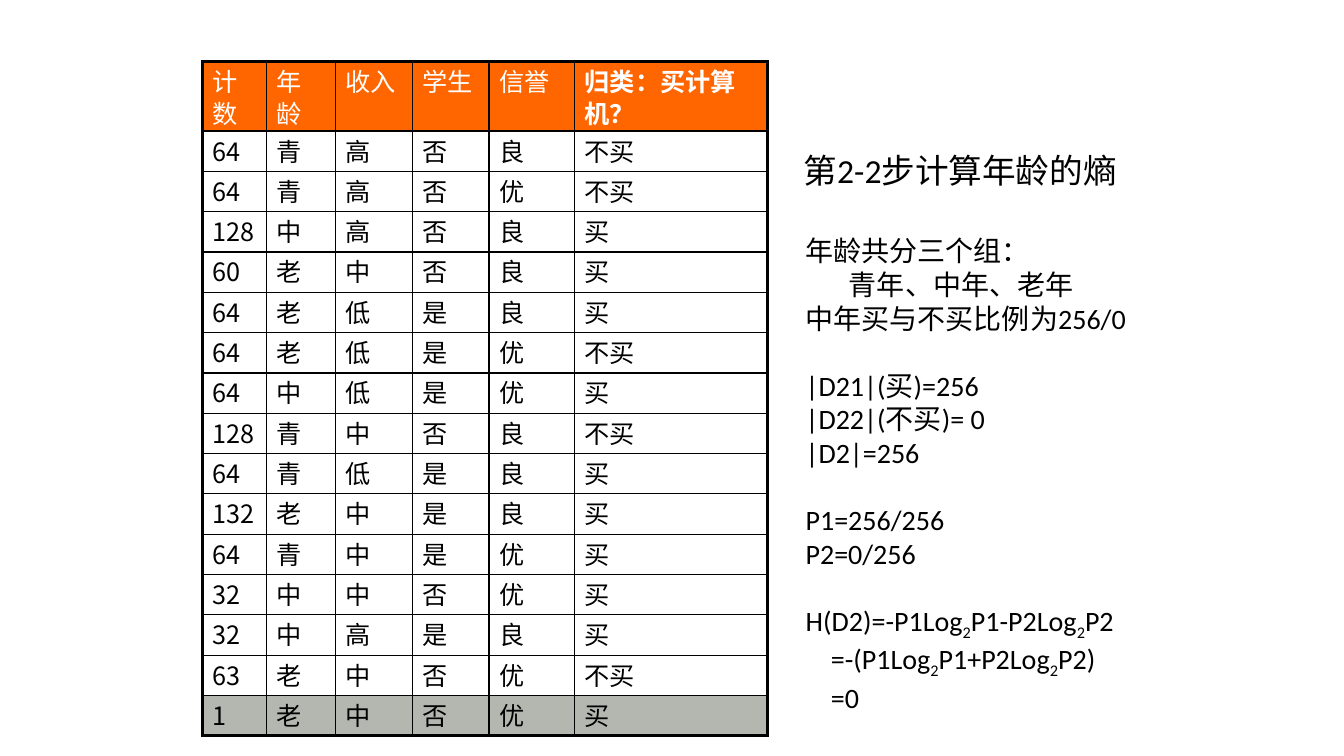
from dataclasses import dataclass

from lxml.etree import SubElement
from pptx import Presentation
from pptx.dml.color import RGBColor as RGB
from pptx.enum.text import MSO_ANCHOR as Anchor, MSO_AUTO_SIZE as AutoSize, PP_ALIGN as Align
from pptx.oxml import parse_xml
from pptx.oxml.ns import nsdecls, qn
from pptx.util import Inches, Pt

HEADER = ["计数", "年龄", "收入", "学生", "信誉", "归类：买计算机？"]
RECORDS = [
    "64 青 高 否 良 不买",
    "64 青 高 否 优 不买",
    "128 中 高 否 良 买",
    "60 老 中 否 良 买",
    "64 老 低 是 良 买",
    "64 老 低 是 优 不买",
    "64 中 低 是 优 买",
    "128 青 中 否 良 不买",
    "64 青 低 是 良 买",
    "132 老 中 是 良 买",
    "64 青 中 是 优 买",
    "32 中 中 否 优 买",
    "32 中 高 是 良 买",
    "63 老 中 否 优 不买",
    "1 老 中 否 优 买",
]
COLUMN_WIDTHS = [0.63, 0.69, 0.76, 0.76, 0.85, 1.91]
HEADER_HEIGHT, RECORD_HEIGHT = 0.69, 0.4

TITLE = "第2-2步计算年龄的熵"
STEP_GROUPS = [
    [("年龄共分三个组：", 0), ("青年、中年、老年", 0.43), ("中年买与不买比例为256/0", 0)],
    [("|D21|(买)=256", 0), ("|D22|(不买)= 0", 0), ("|D2|=256", 0)],
    [("P1=256/256", 0), ("P2=0/256", 0)],
    [("H(D2)=-P1Log_2P1-P2Log_2P2", 0), ("=-(P1Log_2P1+P2Log_2P2)", 0.25), ("=0", 0.25)],
]


@dataclass(frozen=True)
class Theme:
    """Colours, fonts and type sizes."""
    ink: RGB = RGB(0, 0, 0)
    paper: RGB = RGB(255, 255, 255)
    header: RGB = RGB(0xFF, 0x66, 0x00)
    highlight: RGB = RGB(0xB4, 0xB6, 0xB0)
    text_font: str = "Calibri"
    table_font: str = "Noto Sans CJK JP"
    title_size: Pt = Pt(24)
    step_size: Pt = Pt(20)
    table_size: Pt = Pt(18)
    table_leading: Pt = Pt(23)
    group_gap: Pt = Pt(24)
    thin: Pt = Pt(1)
    thick: Pt = Pt(2.25)


THEME = Theme()


def style_run(r, size, color, font):
    r.font.size, r.font.name = size, font
    r.font.color.rgb = color


def set_borders(cell, thick_sides):
    tcPr = cell._tc.get_or_add_tcPr()
    for i, side in enumerate("LRTB"):
        width = THEME.thick if side in thick_sides else THEME.thin
        tcPr.insert(i, parse_xml(
            f'<a:ln{side} {nsdecls("a")} w="{width}"><a:solidFill>'
            f'<a:srgbClr val="{THEME.ink}"/></a:solidFill></a:ln{side}>'))


def fill_cell(cell, text, fill, color, bold):
    cell.margin_bottom = 0
    if fill is None:
        cell.fill.background()
    else:
        cell.fill.solid()
        cell.fill.fore_color.rgb = fill
    p = cell.text_frame.paragraphs[0]
    p.text = text
    p.line_spacing = THEME.table_leading
    r = p.runs[0]
    style_run(r, THEME.table_size, color, THEME.table_font)
    r.font.bold = bold
    SubElement(r._r.get_or_add_rPr(), qn("a:ea"), typeface=THEME.table_font)


def add_records(slide):
    rows = [HEADER] + [record.split() for record in RECORDS]
    last_row, last_col = len(rows) - 1, len(HEADER) - 1
    height = HEADER_HEIGHT + RECORD_HEIGHT * last_row
    table = slide.shapes.add_table(
        len(rows), len(HEADER), Inches(2.01), Inches(0.61),
        Inches(sum(COLUMN_WIDTHS)), Inches(height)).table
    table.first_row = table.horz_banding = False
    for column, width in zip(table.columns, COLUMN_WIDTHS):
        column.width = Inches(width)
    for i, row in enumerate(rows):
        table.rows[i].height = Inches(RECORD_HEIGHT if i else HEADER_HEIGHT)
        fill = {0: THEME.header, last_row: THEME.highlight}.get(i)
        color = THEME.ink if i else THEME.paper
        for j, text in enumerate(row):
            cell = table.cell(i, j)
            fill_cell(cell, text, fill, color, i == 0 and j == last_col)
            edges = {"L": j == 0, "R": j == last_col, "T": i == 0, "B": i == last_row}
            set_borders(cell, [side for side, outer in edges.items() if outer])


def place(sp, left, top, width, height):
    sp.left, sp.top, sp.width, sp.height = map(Inches, (left, top, width, height))
    tf = sp.text_frame
    tf.word_wrap, tf.auto_size = True, AutoSize.NONE
    tf.vertical_anchor = Anchor.TOP
    return tf


def add_title(slide):
    tf = place(slide.shapes.title, 7.87, 1.44, 3.31, 0.5)
    tf.text = TITLE
    p = tf.paragraphs[0]
    p.alignment = Align.LEFT
    style_run(p.runs[0], THEME.title_size, THEME.ink, THEME.text_font)


def add_step(p, text, indent, gap):
    pPr = p._p.get_or_add_pPr()
    pPr.set("marL", str(Inches(indent)))
    pPr.set("indent", "0")
    SubElement(pPr, qn("a:buNone"))
    p.space_before = gap
    head, *tails = text.split("_")
    pieces = [(head, False)]
    for tail in tails:
        pieces += [(tail[0], True), (tail[1:], False)]
    for piece, subscript in pieces:
        r = p.add_run()
        r.text = piece
        style_run(r, THEME.step_size, THEME.ink, THEME.text_font)
        if subscript:
            r._r.get_or_add_rPr().set("baseline", "-25000")


def add_steps(slide):
    tf = place(slide.placeholders[1], 7.89, 2.27, 3.52, 4.81)
    p = tf.paragraphs[0]
    for g, group in enumerate(STEP_GROUPS):
        for i, (text, indent) in enumerate(group):
            if g or i:
                p = tf.add_paragraph()
            add_step(p, text, indent, THEME.group_gap if g and i == 0 else Pt(0))


def main():
    """Build the age entropy slide."""
    prs = Presentation()
    prs.slide_width, prs.slide_height = Inches(13.33), Inches(7.5)
    slide = prs.slides.add_slide(prs.slide_layouts[1])
    add_records(slide)
    add_title(slide)
    add_steps(slide)
    prs.save("out.pptx")


if __name__ == "__main__":
    main()
